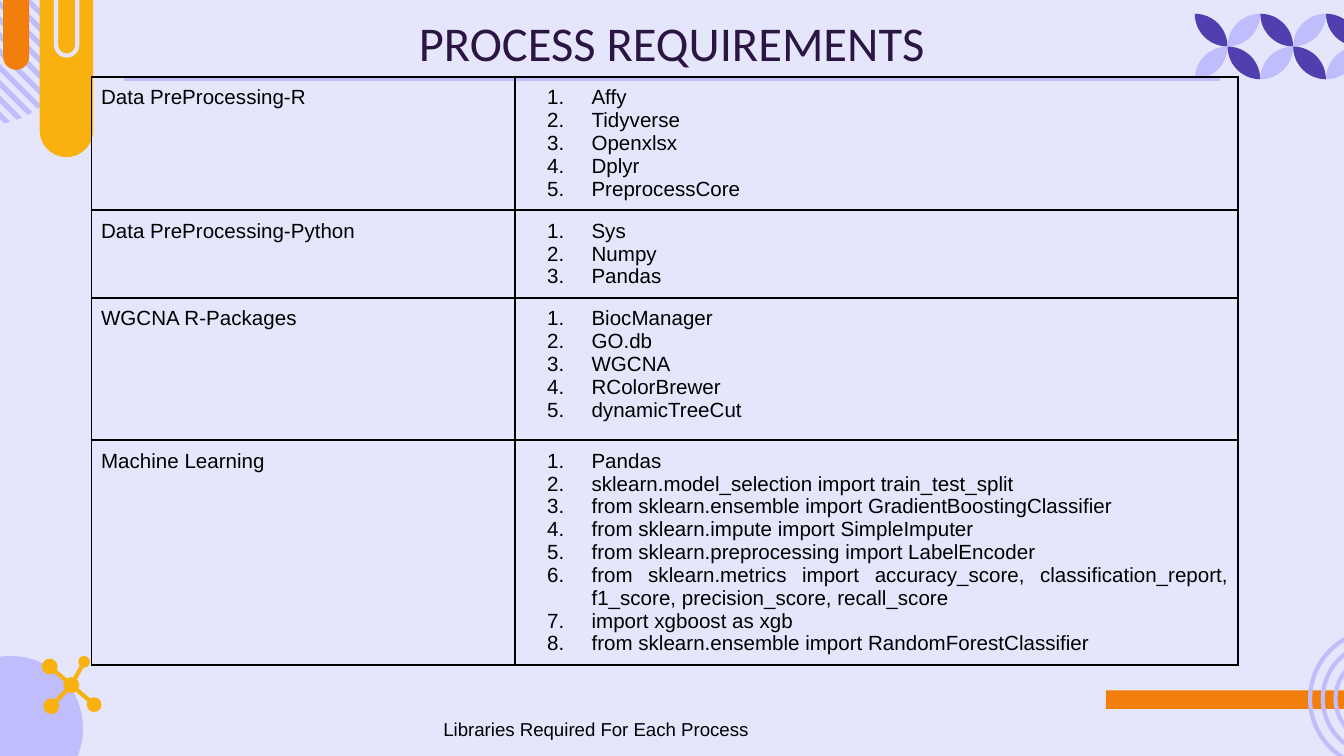
from dataclasses import dataclass
from math import cos, pi, sin, sqrt

from lxml.etree import SubElement
from pptx import Presentation
from pptx.dml.color import RGBColor
from pptx.enum.shapes import MSO_CONNECTOR as Connector, MSO_SHAPE as Preset
from pptx.enum.text import MSO_ANCHOR as Anchor, PP_ALIGN as Align
from pptx.oxml import parse_xml
from pptx.oxml.ns import nsdecls, qn
from pptx.util import Cm, Pt

PAPER, LILAC, VIOLET = "E5E6FC", "BFBDFC", "523FAF"
ORANGE, YELLOW, PLUM, BLACK = "F27F0C", "F9B110", "2A1543", "000000"


@dataclass
class Process:
    name: str
    libraries: list[str]
    height: float


@dataclass
class Atom:
    x: float
    y: float
    radius: float


PROCESSES = [
    Process("Data PreProcessing-R",
            ["Affy", "Tidyverse", "Openxlsx", "Dplyr", "PreprocessCore"], 2.51),
    Process("Data PreProcessing-Python", ["Sys", "Numpy", "Pandas"], 1.65),
    Process("WGCNA R-Packages",
            ["BiocManager", "GO.db", "WGCNA", "RColorBrewer", "dynamicTreeCut"], 2.69),
    Process("Machine Learning",
            ["Pandas",
             "sklearn.model_selection import train_test_split",
             "from sklearn.ensemble import GradientBoostingClassifier",
             "from sklearn.impute import SimpleImputer",
             "from sklearn.preprocessing import LabelEncoder",
             "from sklearn.metrics import accuracy_score, classification_report, "
             "f1_score, precision_score, recall_score",
             "import xgboost as xgb",
             "from sklearn.ensemble import RandomForestClassifier"], 4.24),
]
CORE = Atom(1.35, 12.95, 0.15)
OUTER_ATOMS = [Atom(0.94, 12.6, 0.15), Atom(1.59, 12.51, 0.11),
               Atom(0.97, 13.35, 0.15), Atom(1.78, 13.32, 0.14)]


def color(code: str) -> RGBColor:
    return RGBColor.from_string(code)


def paint(shape, fill: str = "", line: str = "") -> None:
    shape.shadow.inherit = False
    if fill:
        shape.fill.solid()
        shape.fill.fore_color.rgb = color(fill)
    else:
        shape.fill.background()
    if line:
        shape.line.color.rgb = color(line)
        shape.line.width = Pt(2.25)
    else:
        shape.line.fill.background()


def add_preset(preset, left: float, top: float, width: float, height: float, **look):
    shape = slide.shapes.add_shape(preset, Cm(left), Cm(top), Cm(width), Cm(height))
    paint(shape, **look)
    return shape


def add_disc(x: float, y: float, radius: float, **look) -> None:
    add_preset(Preset.OVAL, x - radius, y - radius, 2 * radius, 2 * radius, **look)


def add_hanging_bar(left: float, width: float, bottom: float, **look) -> None:
    """Bar that hangs from the top edge with a round lower end."""
    bar = add_preset(Preset.ROUND_2_SAME_RECTANGLE, left, -0.2, width, bottom + 0.2, **look)
    bar.adjustments[0] = 0.5
    bar.rotation = 180


def add_outline(points: list[tuple[float, float]], fill: str) -> None:
    corners = [(Cm(x), Cm(y)) for x, y in points]
    builder = slide.shapes.build_freeform(*corners[0])
    builder.add_line_segments(corners[1:])
    paint(builder.convert_to_shape(), fill=fill)


def add_line(x1: float, y1: float, x2: float, y2: float, code: str) -> None:
    line = slide.shapes.add_connector(Connector.STRAIGHT, Cm(x1), Cm(y1), Cm(x2), Cm(y2))
    line.line.color.rgb = color(code)
    line.line.width = Pt(2.25)
    SubElement(line._element.spPr, qn("a:effectLst"))


def add_stripes(x: float, y: float, radius: float) -> None:
    """Diagonal stripes cut to a circle."""
    def chord(offset: float) -> list[tuple[float, float]]:
        middle = x - offset / 2
        reach = sqrt((radius ** 2 - offset ** 2 / 2) / 2)
        return [(px, px + y - x + offset) for px in (middle - reach, middle + reach)]

    for i in range(12):
        offset = -2.18 + 0.3 * i
        add_outline(chord(offset) + chord(offset + 0.14)[::-1], LILAC)


def add_petals(left: float, top: float, side: float) -> None:
    """Two rows of petals; dark ones fall to the right, light ones to the left."""
    arc = [pi / 2 * i / 12 for i in range(13)]
    petal = [(sin(a), 1 - cos(a)) for a in arc] + [(1 - sin(a), cos(a)) for a in arc]
    for row in range(2):
        for column in range(5):
            dark = (row + column) % 2 == 0
            add_outline([(left + side * (column + (px if dark else 1 - px)),
                          top + side * (row + py)) for px, py in petal],
                        VIOLET if dark else LILAC)


def write(paragraph, text: str, *, size: float, font: str = "Arial", code: str = BLACK,
          align=Align.LEFT, numbered: bool = False) -> None:
    paragraph.alignment = align
    run = paragraph.add_run()
    run.text = text
    run.font.size, run.font.name = Pt(size), font
    run.font.color.rgb = color(code)
    if numbered:
        props = paragraph._p.get_or_add_pPr()
        props.set("marL", str(Cm(1.27)))
        props.set("indent", str(Cm(-0.84)))
        SubElement(props, qn("a:buAutoNum"), type="arabicPeriod")


def fill_cell(cell, lines: list[str], numbered: bool) -> None:
    cell.margin_left = cell.margin_right = Cm(0.18)
    cell.margin_top = cell.margin_bottom = Cm(0.18)
    cell.fill.background()
    props = cell._tc.get_or_add_tcPr()
    for i, side in enumerate(("lnL", "lnR", "lnT", "lnB")):
        props.insert(i, parse_xml(
            f'<a:{side} {nsdecls("a")} w="{Pt(1)}"><a:solidFill>'
            f'<a:srgbClr val="{BLACK}"/></a:solidFill></a:{side}>'))
    frame = cell.text_frame
    for i, line in enumerate(lines):
        write(frame.add_paragraph() if i else frame.paragraphs[0], line,
              size=11, align=Align.JUSTIFY, numbered=numbered)


def add_process_table() -> None:
    height = sum(process.height for process in PROCESSES)
    table = slide.shapes.add_table(len(PROCESSES), 2, Cm(1.73), Cm(1.45),
                                   Cm(21.67), Cm(height)).table
    table.first_row = table.horz_banding = False
    table.columns[0].width, table.columns[1].width = Cm(8), Cm(13.67)
    for row, process in zip(table.rows, PROCESSES):
        row.height = Cm(process.height)
        fill_cell(row.cells[0], [process.name], numbered=False)
        fill_cell(row.cells[1], process.libraries, numbered=True)


deck = Presentation()
deck.slide_width, deck.slide_height = Cm(25.4), Cm(14.29)
slide = deck.slides.add_slide(deck.slide_layouts[5])
slide.background.fill.solid()
slide.background.fill.fore_color.rgb = color(PAPER)

add_preset(Preset.RECTANGLE, 20.9, 13.05, 5.38, 0.35, fill=ORANGE)
add_disc(0.2, 13.77, 1.37, fill=LILAC)
for ring_radius in (1.3, 1.06, 0.82):
    add_disc(26.06, 13.21, ring_radius, line=LILAC)
add_stripes(-0.23, 0.76, 1.6)
add_hanging_bar(0.06, 0.49, 1.32, fill=ORANGE)
add_hanging_bar(0.75, 1.01, 2.97, fill=YELLOW)
add_hanging_bar(1.06, 0.4, 1.05, line=PAPER)
add_petals(22.58, 0.26, 0.62)
for atom in OUTER_ATOMS:
    add_line(CORE.x, CORE.y, atom.x, atom.y, YELLOW)
for atom in [CORE, *OUTER_ATOMS]:
    add_disc(atom.x, atom.y, atom.radius, fill=YELLOW)

title = slide.shapes.title
title.left, title.top, title.width, title.height = Cm(1.98), Cm(0.13), Cm(21.44), Cm(1.32)
title.text_frame.vertical_anchor = Anchor.MIDDLE
write(title.text_frame.paragraphs[0], "PROCESS REQUIREMENTS",
      size=26, font="Calibri", code=PLUM, align=Align.CENTER)
add_line(2.34, 1.5, 23.06, 1.5, LILAC)
add_process_table()

caption = slide.shapes.add_textbox(Cm(5.59), Cm(13.36), Cm(10.24), Cm(0.74)).text_frame
caption.word_wrap = True
caption.margin_left = Cm(2.79)
caption.margin_top = caption.margin_bottom = Cm(0.25)
write(caption.paragraphs[0], "Libraries Required For Each Process", size=10)

deck.save("out.pptx")
